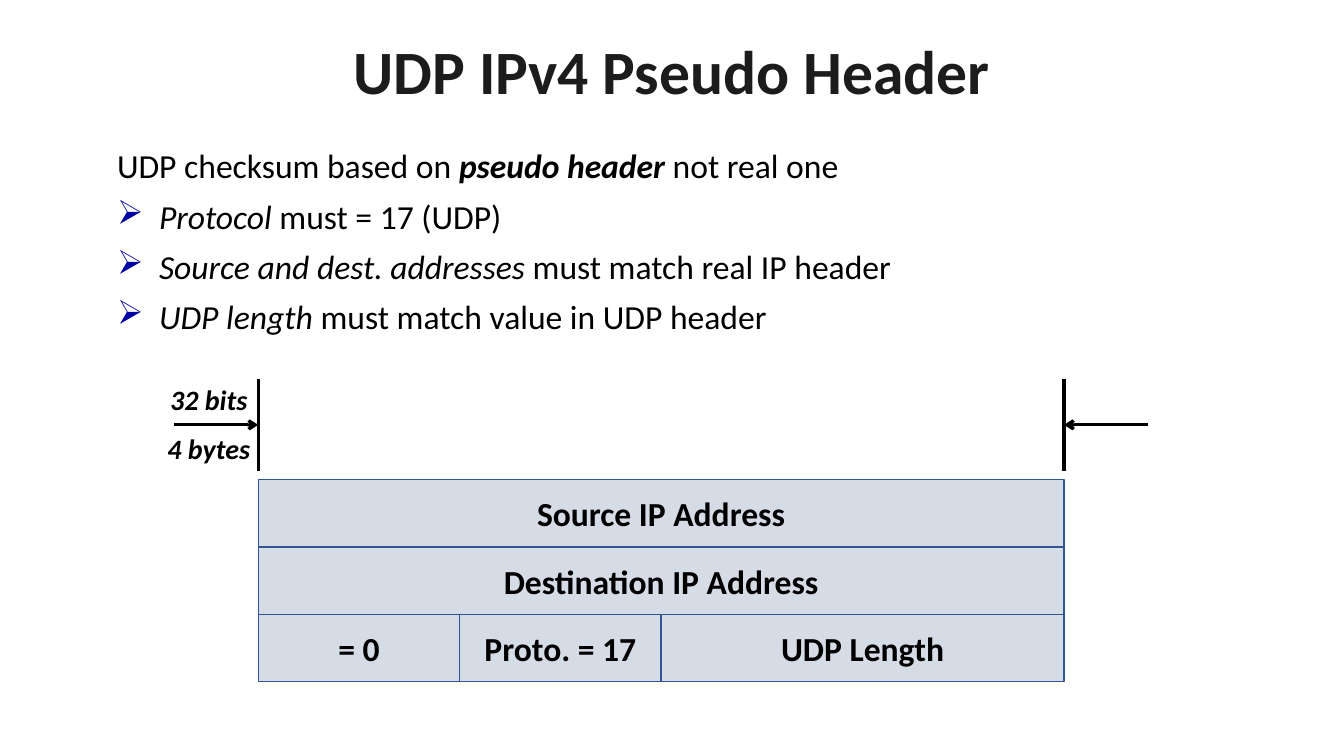
from lxml import etree
from pptx import Presentation
from pptx.dml.color import RGBColor
from pptx.enum.shapes import MSO_CONNECTOR, MSO_SHAPE
from pptx.enum.text import MSO_ANCHOR, PP_ALIGN
from pptx.oxml.ns import qn
from pptx.util import Pt

STRAIGHT, RECTANGLE = MSO_CONNECTOR.STRAIGHT, MSO_SHAPE.RECTANGLE
TOP, MIDDLE = MSO_ANCHOR.TOP, MSO_ANCHOR.MIDDLE
LEFT, CENTER, JUSTIFY = PP_ALIGN.LEFT, PP_ALIGN.CENTER, PP_ALIGN.JUSTIFY

COLORS = {"text": "000000", "title": "1C1C1C", "bullet": "0000A3",
          "field": "D6DCE5", "border": "325491"}
FONT = "Calibri"
TITLE = {"size": Pt(44), "bold": True}
BODY = {"size": Pt(24)}
FIELD = {"size": Pt(24), "bold": True}
LABEL = {"size": Pt(20), "bold": True, "italic": True}
BODY_SPACING = {"alignment": JUSTIFY, "line_spacing": 0.9, "space_before": Pt(10)}

INTRO = [("UDP checksum based on ", {}),
         ("pseudo header ", {"bold": True, "italic": True}),
         ("not real one", {})]
RULES = [("Protocol ", "must = 17 (UDP)"),
         ("Source and dest. addresses ", "must match real IP header"),
         ("UDP length ", "must match value in UDP header")]
# Each header row lists its fields with their width in bytes.
HEADER_ROWS = [[("Source IP Address", 4)],
               [("Destination IP Address", 4)],
               [("= 0", 1), ("Proto. = 17", 1), ("UDP Length", 2)]]
ROW_BYTES = 4


def color(name):
    """Return the named colour."""
    return RGBColor.from_string(COLORS[name])


def apply_format(target, values):
    """Set every attribute in values on the target."""
    for name, value in values.items():
        setattr(target, name, value)


def add_span(para, text, values, color_name="text"):
    """Append formatted text to a paragraph."""
    span = para.add_run()
    span.text = text
    apply_format(span.font, {"name": FONT, **values})
    span.font.color.rgb = color(color_name)


def add_text_box(page, box, wrap=True, anchor=TOP):
    """Add an empty text box and return its text frame."""
    frame = page.shapes.add_textbox(*map(Pt, box)).text_frame
    apply_format(frame, {"word_wrap": wrap, "vertical_anchor": anchor})
    return frame


def add_bullet(para, indent=30):
    """Give a paragraph a hanging arrowhead bullet."""
    properties = para._p.get_or_add_pPr()
    properties.set("marL", str(Pt(indent)))
    properties.set("indent", str(-Pt(indent)))
    tint = etree.SubElement(properties, qn("a:buClr"))
    etree.SubElement(tint, qn("a:srgbClr"), val=COLORS["bullet"])
    etree.SubElement(properties, qn("a:buChar"), char="➢")


def add_line(page, start, end, arrow=False):
    """Draw a black line, with an arrowhead at its end if asked."""
    line = page.shapes.add_connector(STRAIGHT, *map(Pt, (*start, *end)))
    line.line.width = Pt(2.25)
    line.line.color.rgb = color("text")
    if arrow:
        etree.SubElement(line.line._get_or_add_ln(), qn("a:tailEnd"), type="arrow")
    etree.SubElement(line._element.spPr, qn("a:effectLst"))


def add_title(page, box):
    """Place the centred slide title."""
    para = add_text_box(page, box, anchor=MIDDLE).paragraphs[0]
    apply_format(para, {"alignment": CENTER, "line_spacing": 0.8})
    add_span(para, "UDP IPv4 Pseudo Header", TITLE, "title")


def add_body(page, box):
    """Place the introduction and the bulleted checksum rules."""
    frame = add_text_box(page, box)
    para = frame.paragraphs[0]
    apply_format(para, BODY_SPACING)
    for text, emphasis in INTRO:
        add_span(para, text, {**BODY, **emphasis})
    for subject, rule in RULES:
        para = frame.add_paragraph()
        apply_format(para, BODY_SPACING)
        add_bullet(para)
        add_span(para, subject, {**BODY, "italic": True})
        add_span(para, rule, BODY)


def add_field(page, box, text):
    """Draw one header field with a centred name."""
    field = page.shapes.add_shape(RECTANGLE, *map(Pt, box))
    field.shadow.inherit = False
    field.fill.solid()
    field.fill.fore_color.rgb = color("field")
    field.line.color.rgb = color("border")
    field.line.width = Pt(1)
    field.text_frame.vertical_anchor = MIDDLE
    para = field.text_frame.paragraphs[0]
    para.alignment = CENTER
    add_span(para, text, FIELD)


def add_header(page, box):
    """Fill the box with header rows, fields scaled by their bytes."""
    left, top, width, height = box
    row_height = height / len(HEADER_ROWS)
    for row, fields in enumerate(HEADER_ROWS):
        x = left
        for text, size in fields:
            field_width = width * size / ROW_BYTES
            add_field(page, (x, top + row * row_height, field_width, row_height), text)
            x += field_width


def add_width_marks(page, box):
    """Mark the box's sides with bars, inward arrows and size labels."""
    left, top, width, height = box
    middle = top + height / 2
    for edge, outward in ((left, -60), (left + width, 60)):
        add_line(page, (edge, top), (edge, top + height))
        add_line(page, (edge + outward, middle), (edge, middle), arrow=True)
    for text, offset, label_top, label_width in (("32 bits", 70, top - 1, 70),
                                                 ("4 bytes", 72, middle + 1.5, 74)):
        frame = add_text_box(page, (left - offset, label_top, label_width, 31.5), wrap=False)
        frame.paragraphs[0].alignment = LEFT
        add_span(frame.paragraphs[0], text, LABEL)


def build_slide(deck):
    """Add the pseudo header slide to the deck."""
    page = deck.slides.add_slide(deck.slide_layouts[6])
    add_title(page, (26.5, 21, 907, 67.5))
    add_body(page, (76.5, 103.5, 857.5, 415.5))
    add_width_marks(page, (184.5, 270.5, 575.5, 66))
    add_header(page, (184.5, 342.5, 575.5, 144.5))


deck = Presentation()
deck.slide_width, deck.slide_height = Pt(960), Pt(540)
build_slide(deck)
deck.save("out.pptx")
